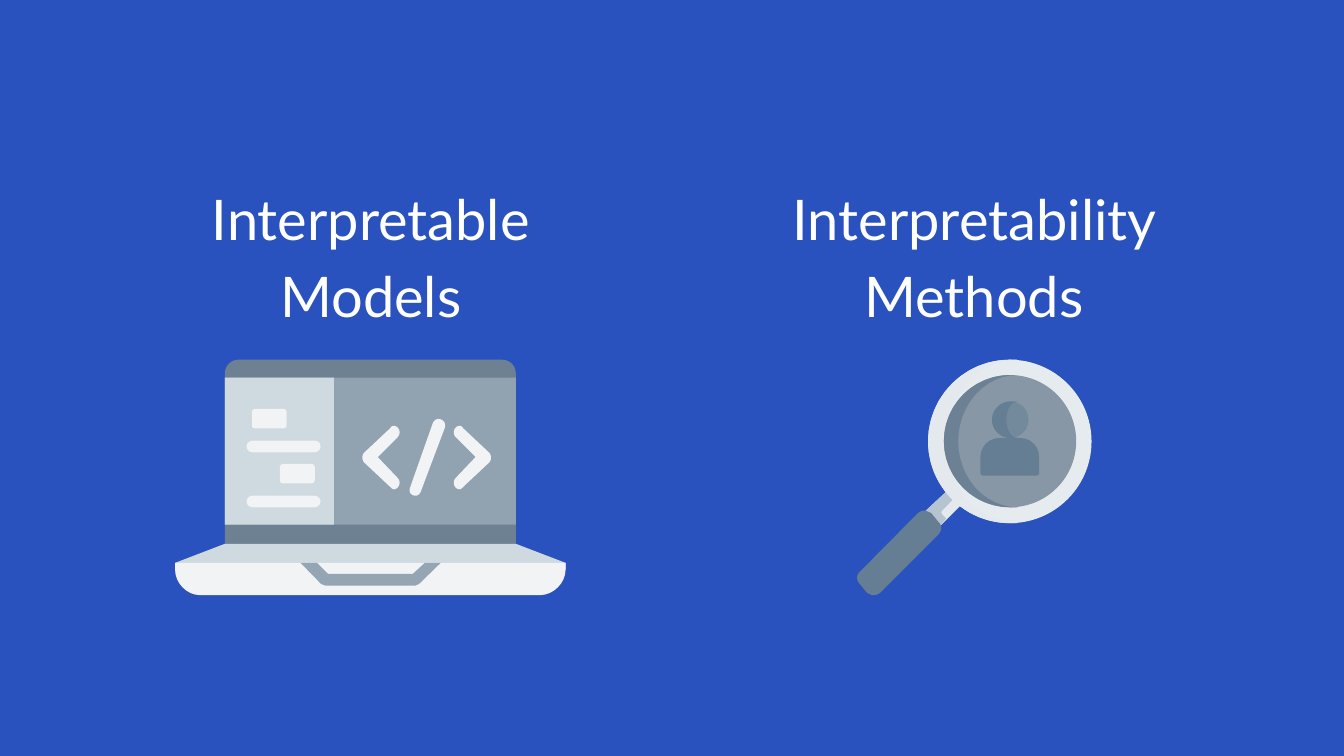
from math import cos, pi, sin

from pptx import Presentation
from pptx.dml.color import RGBColor
from pptx.enum.shapes import MSO_SHAPE as Shape
from pptx.enum.text import MSO_AUTO_SIZE as AutoSize, PP_ALIGN as Align
from pptx.util import Cm, Pt

BLUE = RGBColor(0x2A, 0x52, 0xBE)
WHITE = RGBColor(0xFF, 0xFF, 0xFF)
PAPER = RGBColor(0xF2, 0xF3, 0xF5)
MIST = RGBColor(0xCF, 0xD9, 0xE0)
SCREEN = RGBColor(0x91, 0xA2, 0xB1)
LATCH = RGBColor(0x94, 0xA5, 0xB3)
LID = RGBColor(0x6D, 0x81, 0x92)
RIM = RGBColor(0xE6, 0xEB, 0xEF)
RIM_SHADE = RGBColor(0xE3, 0xE9, 0xED)
NECK_SHADE = RGBColor(0xB5, 0xC4, 0xD0)
LENS = RGBColor(0x87, 0x97, 0xA6)
LENS_SHADE = RGBColor(0x6C, 0x81, 0x93)
HEAD = RGBColor(0x73, 0x8A, 0x9D)
SLATE = RGBColor(0x65, 0x7E, 0x93)


def flatten(path, steps=8):
    """Turn (x, y) points and six-number cubic curves into plain points."""
    points = []
    for part in path:
        if len(part) == 2:
            points.append(part)
            continue
        x0, y0 = points[-1]
        x1, y1, x2, y2, x3, y3 = part
        for step in range(1, steps + 1):
            t = step / steps
            a, b, c, d = (1 - t) ** 3, 3 * t * (1 - t) ** 2, 3 * t * t * (1 - t), t ** 3
            points.append((a * x0 + b * x1 + c * x2 + d * x3,
                           a * y0 + b * y1 + c * y2 + d * y3))
    return points


class Sketch:
    """Flat icon style on one slide; lengths are in centimetres."""
    font, size, ink, line_spacing = "Lato", Pt(30), WHITE, 1.15

    def __init__(self, slide):
        self.slide = slide
        self.icon = None
        slide.background.fill.solid()
        slide.background.fill.fore_color.rgb = BLUE

    def start_icon(self):
        self.icon = self.slide.shapes.add_group_shape().shapes

    def paint(self, shape, color):
        shape.shadow.inherit = False
        shape.fill.solid()
        shape.fill.fore_color.rgb = color
        shape.line.fill.background()

    def heading(self, text, left):
        box = self.slide.shapes.add_textbox(Cm(left), Cm(3.05), Cm(8.94), Cm(3.28))
        frame = box.text_frame
        frame.word_wrap = True
        frame.auto_size = AutoSize.SHAPE_TO_FIT_TEXT
        frame.margin_left = frame.margin_right = Cm(0.25)
        frame.margin_top = frame.margin_bottom = Cm(0.25)
        paragraph = frame.paragraphs[0]
        paragraph.alignment = Align.CENTER
        paragraph.line_spacing = self.line_spacing
        run = paragraph.add_run()
        run.text = text
        run.font.name, run.font.size = self.font, self.size
        run.font.color.rgb = self.ink

    def preset(self, kind, left, top, width, height, color, *corners):
        shape = self.icon.add_shape(kind, Cm(left), Cm(top), Cm(width), Cm(height))
        for index, corner in enumerate(corners):
            shape.adjustments[index] = corner
        self.paint(shape, color)

    def outline(self, path, color):
        points = [(Cm(x), Cm(y)) for x, y in flatten(path)]
        builder = self.icon.build_freeform(*points[0])
        builder.add_line_segments(points[1:], close=True)
        self.paint(builder.convert_to_shape(), color)

    def shaded_disc(self, left, top, size, inner, color, shade, tip=19.23, steps=24):
        """Disc with a crescent on its left, inner being the crescent's inside edge."""
        self.preset(Shape.OVAL, left, top, size, size, color)
        radius = size / 2
        angles = [pi / 2 + pi * step / steps for step in range(steps + 1)]
        outer = [(left + radius + radius * cos(a), top + radius - radius * sin(a))
                 for a in angles]
        hollow = [(tip + (tip - inner) * cos(a), top + radius - radius * sin(a))
                  for a in reversed(angles)]
        self.outline(outer + hollow, shade)


def draw_magnifier(sketch):
    sketch.start_icon()
    # Neck
    sketch.outline([(17.91, 9.27), (17.45, 9.7), (17.5, 9.73, 17.53, 9.73, 17.55, 9.75),
                    (17.68, 9.91), (17.7, 9.91, 17.73, 9.96, 17.73, 9.98), (18.16, 9.55),
                    (18.06, 9.47, 17.98, 9.37, 17.91, 9.27)], RIM_SHADE)
    sketch.outline([(17.91, 9.27), (17.45, 9.7), (17.55, 9.75), (17.68, 9.88),
                    (17.73, 9.98), (17.88, 9.8), (17.83, 9.75),
                    (17.78, 9.7, 17.78, 9.67, 17.83, 9.63), (18.03, 9.42)], NECK_SHADE)
    # Rim, lens and person
    sketch.shaded_disc(17.54, 6.8, 3.09, 17.88, RIM, RIM_SHADE)
    sketch.shaded_disc(17.84, 7.09, 2.5, 18.11, LENS, LENS_SHADE)
    sketch.shaded_disc(18.75, 7.59, 0.69, 19.02, HEAD, SLATE)
    sketch.preset(Shape.ROUND_2_SAME_RECTANGLE, 18.53, 8.28, 1.11, 0.71, SLATE, 0.5, 0.07)
    # Grip
    sketch.outline([(17.48, 9.65), (17.42, 9.65, 17.37, 9.68, 17.35, 9.7), (16.26, 10.8),
                    (16.18, 10.87, 16.18, 10.97, 16.26, 11.05), (16.38, 11.2),
                    (16.43, 11.23, 16.46, 11.25, 16.51, 11.25),
                    (16.56, 11.25, 16.61, 11.23, 16.64, 11.2), (17.73, 10.11),
                    (17.81, 10.03, 17.81, 9.93, 17.73, 9.86), (17.6, 9.7),
                    (17.55, 9.68, 17.5, 9.65, 17.48, 9.65)], SLATE)


def draw_laptop(sketch):
    sketch.start_icon()
    # Lid, deck, base and latch
    sketch.preset(Shape.ROUND_2_SAME_RECTANGLE, 4.25, 6.8, 5.5, 3.66, LID, 0.07, 0)
    sketch.outline([(4.25, 10.28), (3.31, 10.64), (3.31, 10.77), (10.69, 10.77),
                    (10.69, 10.64), (9.75, 10.28)], MIST)
    sketch.outline([(3.31, 10.64), (3.31, 10.77), (3.31, 11.02, 3.53, 11.25, 3.78, 11.25),
                    (10.21, 11.25), (10.46, 11.25, 10.69, 11.02, 10.69, 10.77),
                    (10.69, 10.64)], PAPER)
    sketch.outline([(5.68, 10.64), (6.07, 11.04), (6.15, 11.07), (7.85, 11.07),
                    (7.92, 11.04), (8.33, 10.64), (8.03, 10.64), (7.8, 10.85),
                    (6.2, 10.85), (5.99, 10.64)], LATCH)
    # Screen and sidebar
    for width, color in ((5.5, SCREEN), (2.06, MIST)):
        sketch.preset(Shape.RECTANGLE, 4.25, 7.14, width, 2.78, color)
    for row, block_left in enumerate((4.76, 5.29)):
        drop = row * 1.04
        sketch.preset(Shape.ROUNDED_RECTANGLE, block_left, 7.73 + drop, 0.66, 0.37, PAPER, 0.17)
        sketch.preset(Shape.ROUNDED_RECTANGLE, 4.66, 8.33 + drop, 1.4, 0.22, PAPER, 0.5)
    # Code symbol: a bracket, its mirror image and a slash
    bracket = [(7.44, 8.05), (7.4, 8.05, 7.39, 8.08, 7.37, 8.1), (6.88, 8.56),
               (6.84, 8.61, 6.84, 8.69, 6.88, 8.74), (7.37, 9.2),
               (7.39, 9.22, 7.42, 9.25, 7.44, 9.25), (7.54, 9.25, 7.59, 9.12, 7.52, 9.04),
               (7.14, 8.64), (7.52, 8.26), (7.59, 8.18, 7.54, 8.05, 7.44, 8.05)]
    sketch.outline(bracket, PAPER)
    sketch.outline([(16.13 - x, y) for x, y in flatten(bracket)], PAPER)
    sketch.outline([(8.28, 7.92), (8.25, 7.92, 8.2, 7.95, 8.18, 8), (7.75, 9.22),
                    (7.72, 9.3, 7.77, 9.37, 7.85, 9.37), (7.9, 9.37, 7.92, 9.35, 7.95, 9.3),
                    (8.41, 8.08), (8.43, 7.98, 8.36, 7.92, 8.28, 7.92)], PAPER)


def main():
    deck = Presentation()
    deck.slide_width, deck.slide_height = Cm(25.4), Cm(14.29)
    sketch = Sketch(deck.slides.add_slide(deck.slide_layouts[6]))
    # Headings
    sketch.heading("Interpretable Models", 2.54)
    sketch.heading("Interpretability Methods", 13.94)
    # Icons
    draw_magnifier(sketch)
    draw_laptop(sketch)
    deck.save("out.pptx")


if __name__ == "__main__":
    main()
